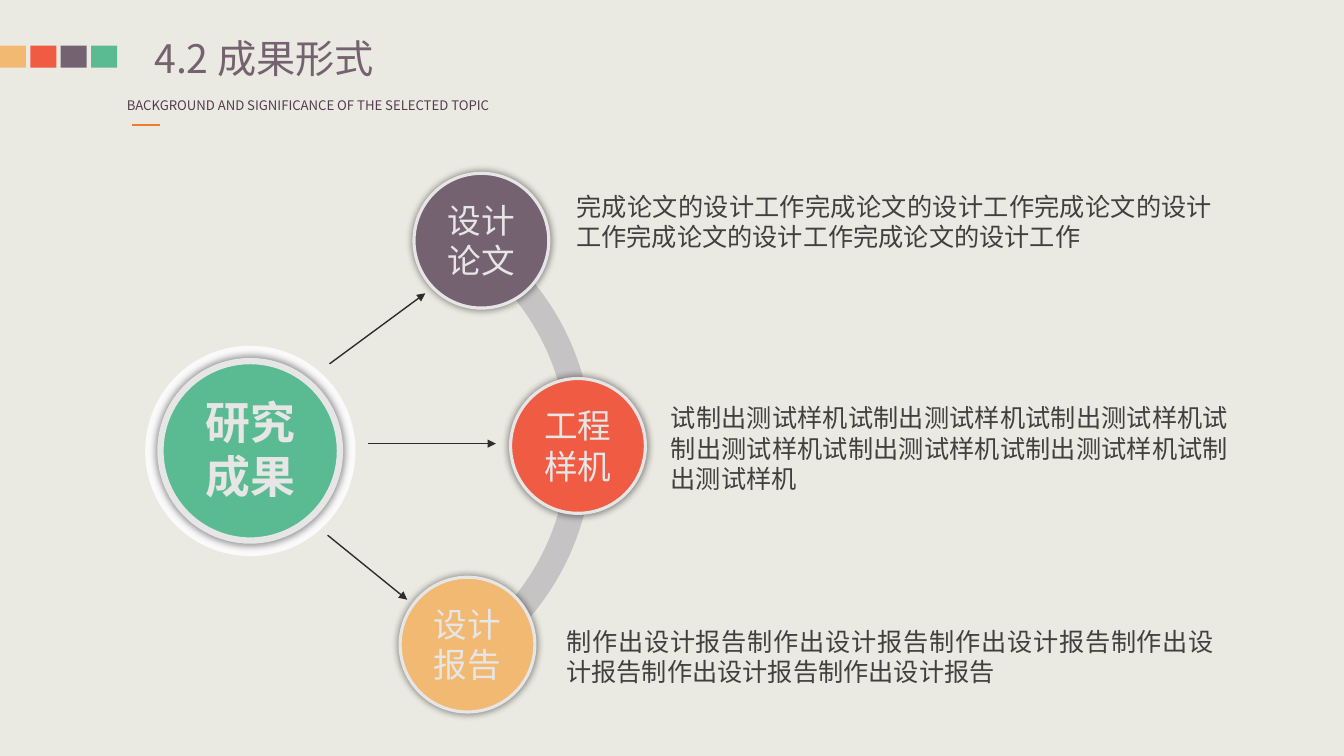
from math import cos, radians, sin, tan
from typing import NamedTuple

from lxml.etree import SubElement
from pptx import Presentation
from pptx.dml.color import RGBColor
from pptx.enum.shapes import MSO_CONNECTOR as Connector, MSO_SHAPE as Shape
from pptx.enum.text import MSO_AUTO_SIZE as AutoSize, PP_ALIGN as Align
from pptx.oxml.ns import qn
from pptx.util import Pt


class Theme:
    """Colours, font and type sizes of the slide."""
    background, halo, rim = "EBEAE2", "FAFAFA", "E7E6E6"
    sand, coral, plum, green = "F2B973", "EF5B43", "756271", "5ABB93"
    arc, arrow, accent = "C5C3C3", "2E2C2C", "ED7D31"
    subtitle, body = "543C4F", "404040"
    font = "Noto Sans CJK SC"
    title_size, subtitle_size, hub_size, node_size, body_size = 28, 9.4, 32, 24, 18
    line_factor = 1.2


class Box(NamedTuple):
    """A rectangle in points."""
    left: float
    top: float
    width: float
    height: float

    def inner(self, left, top, width, height):
        """Return a box placed relative to this one."""
        return Box(self.left + left, self.top + top, width, height)

    def points(self):
        """Return the four lengths for python-pptx."""
        return [Pt(length) for length in self]


class Node(NamedTuple):
    """One result: its circle, arrow and description, relative to the diagram."""
    label: str
    color: str
    left: float
    top: float
    arrow: tuple
    phrase: str
    repeats: int
    description: tuple


NODES = [
    Node("设计论文", Theme.plum, 195.7, 3.8, (203.8, 89.5, 135.4, 139.9),
         "完成论文的设计工作", 5, (304.6, 13.2, 468.7, 51.1)),
    Node("工程样机", Theme.coral, 264.7, 150.4, (254.2, 196.9, 162.8, 196.9),
         "试制出测试样机", 7, (372, 164.1, 412.6, 72.7)),
    Node("设计报告", Theme.sand, 185.8, 292.3, (190.9, 308.4, 134, 262.3),
         "制作出设计报告", 6, (297.4, 323.9, 477.4, 51.1)),
]


def paint(shape, color, rim_width=0):
    """Give a shape a plain fill and an optional rim."""
    shape.shadow.inherit = False
    shape.fill.solid()
    shape.fill.fore_color.rgb = RGBColor.from_string(color)
    if rim_width:
        shape.line.color.rgb = RGBColor.from_string(Theme.rim)
        shape.line.width = Pt(rim_width)
    else:
        shape.line.fill.background()


def add_glow(shape):
    """Add a soft centred shadow, slightly larger than the shape."""
    effects = shape._element.spPr.find(qn("a:effectLst"))
    shadow = SubElement(effects, qn("a:outerShdw"), blurRad=str(Pt(5)), dist="0",
                        sx="102000", sy="102000", algn="ctr", rotWithShape="0")
    black = SubElement(shadow, qn("a:srgbClr"), val="000000")
    SubElement(black, qn("a:alpha"), val="40000")


def add_text(shapes, box, text, size, color, align=Align.LEFT, bold=False,
             wrap=True, inset=True):
    """Add a one-paragraph text box."""
    frame = shapes.add_textbox(*box.points()).text_frame
    frame.word_wrap = wrap
    frame.auto_size = AutoSize.SHAPE_TO_FIT_TEXT
    if not inset:
        frame.margin_left = frame.margin_right = 0
        frame.margin_top = frame.margin_bottom = 0
    paragraph = frame.paragraphs[0]
    paragraph.text = text
    paragraph.alignment = align
    paragraph.line_spacing = Pt(size * Theme.line_factor)
    font = paragraph.font
    font.size, font.bold, font.name = Pt(size), bold, Theme.font
    font.color.rgb = RGBColor.from_string(color)
    properties = paragraph._p.pPr.find(qn("a:defRPr"))
    SubElement(properties, qn("a:ea"), typeface=Theme.font)


def add_line(shapes, box, ends, color, width, arrow=False):
    """Add a straight line in a box, with an optional arrowhead at its start."""
    x1, y1, x2, y2 = ends
    line = shapes.add_connector(
        Connector.STRAIGHT, Pt(box.left + x1), Pt(box.top + y1),
        Pt(box.left + x2), Pt(box.top + y2))
    line.line.color.rgb = RGBColor.from_string(color)
    line.line.width = Pt(width)
    if arrow:
        SubElement(line.line._get_or_add_ln(), qn("a:headEnd"), type="triangle")
    SubElement(line._element.spPr, qn("a:effectLst"))


def add_disc(shapes, box, color, rim_width):
    """Add a rimmed circle with a soft shadow."""
    disc = shapes.add_shape(Shape.OVAL, *box.points())
    paint(disc, color, rim_width)
    add_glow(disc)


def add_header(slide, box):
    """Add the colour swatches, title, subtitle and accent line."""
    swatches = slide.shapes.add_group_shape().shapes
    for index, color in enumerate((Theme.sand, Theme.coral, Theme.plum, Theme.green)):
        swatch = box.inner(index * 21.7, 8.1, 18.6, 15.8)
        paint(swatches.add_shape(Shape.RECTANGLE, *swatch.points()), color)
    add_text(slide.shapes, box.inner(83.5, 41.4, 293, 18.7),
             "BACKGROUND AND SIGNIFICANCE OF THE SELECTED TOPIC",
             Theme.subtitle_size, Theme.subtitle, wrap=False)
    add_line(slide.shapes, box, (94.3, 64.8, 114.5, 64.8), Theme.accent, 1.5)
    add_text(slide.shapes, box.inner(110.2, 0, 287.3, 33.8), "4.2 成果形式",
             Theme.title_size, Theme.plum, inset=False)


def arc_points(center, radius, angles):
    """Return anchors and Bezier handles through the given angles."""
    def place(angle, pull=0):
        """Return a point on the circle, pulled along its tangent."""
        x, y, turn = cos(radians(angle)), sin(radians(angle)), radius * pull
        return (Pt(center[0] + radius * x - turn * y),
                Pt(center[1] + radius * y + turn * x))

    points = [place(angles[0])]
    for start, end in zip(angles, angles[1:]):
        pull = 4 / 3 * tan(radians(end - start) / 4)
        points += [place(start, pull), place(end, -pull), place(end)]
    return points


def add_arc(slide, box):
    """Add the curved band that joins the nodes."""
    center = box.left + 136.9, box.top + 199.7
    inner = arc_points(center, 168.5, (-60, 0, 58.9))
    outer = arc_points(center, 186.5, (58.9, 0, -60))
    builder = slide.shapes.build_freeform(*inner[0], scale=1.0)
    builder.add_line_segments(inner[1:] + outer, close=True)
    band = builder.convert_to_shape()
    lines = list(band._element.iter(qn("a:lnTo")))
    for first in (0, 3, 7, 10):
        curve = lines[first].makeelement(qn("a:cubicBezTo"))
        lines[first].addprevious(curve)
        for line in lines[first:first + 3]:
            curve.append(line[0])
            line.getparent().remove(line)
    paint(band, Theme.arc)


def add_hub(slide, box):
    """Add the large central circle."""
    shapes = slide.shapes.add_group_shape().shapes
    paint(shapes.add_shape(Shape.OVAL, *box.points()), Theme.halo)
    add_disc(shapes, box.inner(10.9, 10.9, 128.2, 128.2), Theme.green, 4.5)
    add_text(shapes, box.inner(33.9, 31.4, 82.1, 85), "研究成果",
             Theme.hub_size, Theme.rim, Align.CENTER, bold=True)


def add_node(slide, box, node):
    """Add one labelled circle."""
    shapes = slide.shapes.add_group_shape().shapes
    add_disc(shapes, box, node.color, 2.25)
    add_text(shapes, box.inner(13.6, 15.5, 69.1, 65.5), node.label,
             Theme.node_size, Theme.rim, Align.CENTER)


def add_diagram(slide, box):
    """Add the hub, the nodes, their arrows and descriptions."""
    add_arc(slide, box)
    for node in NODES:
        add_line(slide.shapes, box, node.arrow, Theme.arrow, 1, arrow=True)
        add_node(slide, box.inner(node.left, node.top, 96.3, 96.3), node)
    add_hub(slide, box.inner(3.7, 127, 150.2, 150.2))
    for node in NODES:
        add_text(slide.shapes, box.inner(*node.description),
                 node.phrase * node.repeats, Theme.body_size, Theme.body, Align.JUSTIFY)


presentation = Presentation()
presentation.slide_width, presentation.slide_height = Pt(960), Pt(540)
slide = presentation.slides.add_slide(presentation.slide_layouts[6])
slide.background.fill.solid()
slide.background.fill.fore_color.rgb = RGBColor.from_string(Theme.background)
add_header(slide, Box(0, 24.5, 400, 70))
add_diagram(slide, Box(100, 120, 790, 400))
presentation.save("out.pptx")
